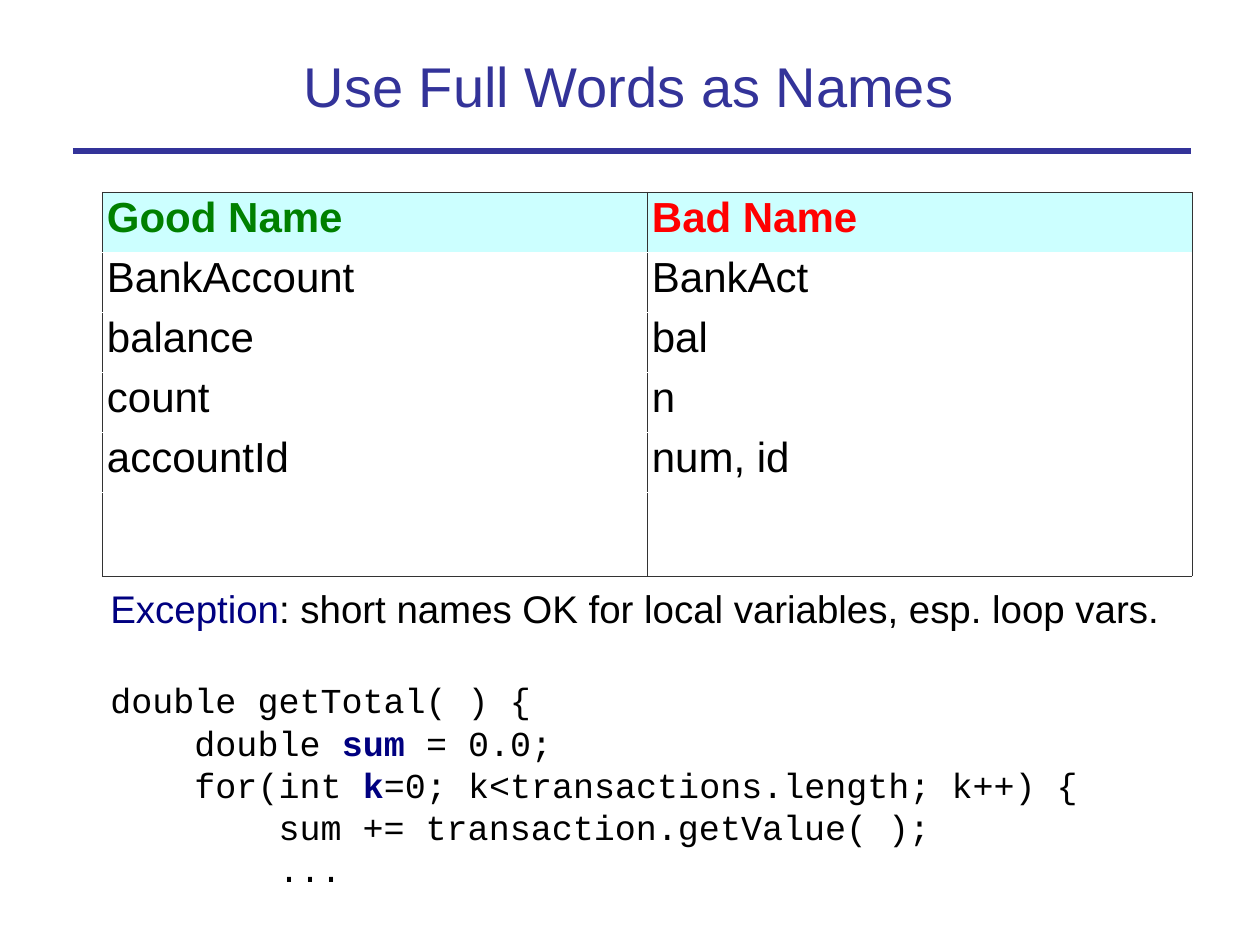
from dataclasses import dataclass

import lxml.etree
import pptx
import pptx.dml.color
import pptx.enum.shapes
import pptx.enum.text
import pptx.oxml.ns
import pptx.util

EMU_PER_INCH = 914400
PX_PER_INCH = 126


@dataclass(frozen=True)
class Theme:
    sans: str = "Arial"
    mono: str = "Courier New"
    heading: str = "333399"
    text: str = "000000"
    accent: str = "000080"
    good: str = "008000"
    bad: str = "FF0000"
    header_fill: str = "CCFFFF"
    border: str = "333333"
    hidden_border: str = "FFFFFF"
    title_size: int = 32
    table_size: int = 24
    note_size: int = 22
    code_size: int = 20


THEME = Theme()


@dataclass(frozen=True)
class Run:
    text: str
    color: str = THEME.text
    bold: bool = False


@dataclass(frozen=True)
class Line:
    runs: tuple[Run, ...]
    font: str = THEME.mono
    size: int = THEME.code_size
    height: int = 24
    space_before: int = 0


NAME_ROWS = (
    (Run("Good Name", THEME.good, True), Run("Bad Name", THEME.bad, True)),
    (Run("BankAccount"), Run("BankAct")),
    (Run("balance"), Run("bal")),
    (Run("count"), Run("n")),
    (Run("accountId"), Run("num, id")),
    (None, None),
)

EXCEPTION_LINES = (
    Line(
        (
            Run("Exception", THEME.accent),
            Run(": short names OK for local variables, esp. loop vars."),
        ),
        THEME.sans,
        THEME.note_size,
        height=26,
    ),
    Line((Run("double getTotal( ) {"),), space_before=27),
    Line((Run("    double "), Run("sum", THEME.accent, True), Run(" = 0.0;"))),
    Line(
        (
            Run("    for(int "),
            Run("k", THEME.accent, True),
            Run("=0; k<transactions.length; k++) {"),
        )
    ),
    Line((Run("        sum += transaction.getValue( );"),)),
    Line((Run("        ..."),)),
)


def px(length: int) -> pptx.util.Emu:
    return pptx.util.Emu(round(length * EMU_PER_INCH / PX_PER_INCH))


def rgb(color: str) -> pptx.dml.color.RGBColor:
    return pptx.dml.color.RGBColor.from_string(color)


def add_run(paragraph, content: Run, font: str, size: int) -> None:
    run = paragraph.add_run()
    run.text = content.text
    run.font.name = font
    run.font.size = pptx.util.Pt(size)
    run.font.bold = content.bold
    run.font.color.rgb = rgb(content.color)


def add_title(slide) -> None:
    title = slide.shapes.title
    title.left, title.top, title.width, title.height = map(px, (84, 35, 1090, 101))
    frame = title.text_frame
    frame.word_wrap = True
    frame.auto_size = pptx.enum.text.MSO_AUTO_SIZE.NONE
    frame.vertical_anchor = pptx.enum.text.MSO_ANCHOR.MIDDLE
    paragraph = frame.paragraphs[0]
    paragraph.alignment = pptx.enum.text.PP_ALIGN.CENTER
    add_run(
        paragraph,
        Run("Use Full Words as Names", THEME.heading),
        THEME.sans,
        THEME.title_size,
    )


def add_title_rule(slide) -> None:
    rule = slide.shapes.add_connector(
        pptx.enum.shapes.MSO_CONNECTOR.STRAIGHT, px(73), px(151), px(1191), px(151)
    )
    rule.line.color.rgb = rgb(THEME.heading)
    rule.line.width = pptx.util.Pt(3)
    properties = rule._element.spPr
    lxml.etree.SubElement(properties, pptx.oxml.ns.qn("a:effectLst"))


def set_cell_borders(cell, top: str, bottom: str) -> None:
    properties = cell._tc.get_or_add_tcPr()
    sides = {"L": THEME.border, "R": THEME.border, "T": top, "B": bottom}
    for side, color in sides.items():
        line = lxml.etree.SubElement(
            properties, pptx.oxml.ns.qn(f"a:ln{side}"), w=str(pptx.util.Pt(0.06))
        )
        fill = lxml.etree.SubElement(line, pptx.oxml.ns.qn("a:solidFill"))
        lxml.etree.SubElement(fill, pptx.oxml.ns.qn("a:srgbClr"), val=color)


def add_name_table(slide) -> None:
    row_height, last_height, column_width = 60, 84, 545
    last = len(NAME_ROWS) - 1
    table = slide.shapes.add_table(
        len(NAME_ROWS),
        2,
        px(102),
        px(192),
        px(2 * column_width),
        px(last * row_height + last_height),
    ).table
    for column in table.columns:
        column.width = px(column_width)
    for row_index, contents in enumerate(NAME_ROWS):
        table.rows[row_index].height = px(
            last_height if row_index == last else row_height
        )
        for column_index, content in enumerate(contents):
            cell = table.cell(row_index, column_index)
            cell.margin_left = cell.margin_right = px(5)
            cell.margin_top = cell.margin_bottom = px(6)
            set_cell_borders(
                cell,
                THEME.border if row_index == 0 else THEME.hidden_border,
                THEME.border if row_index == last else THEME.hidden_border,
            )
            if row_index == 0:
                cell.fill.solid()
                cell.fill.fore_color.rgb = rgb(THEME.header_fill)
            else:
                cell.fill.background()
            if content:
                paragraph = cell.text_frame.paragraphs[0]
                paragraph.line_spacing = 0.93
                add_run(paragraph, content, THEME.sans, THEME.table_size)


def add_exception_text(slide) -> None:
    box = slide.shapes.add_textbox(px(98), px(580), px(1099), px(311))
    frame = box.text_frame
    frame.word_wrap = True
    for index, line in enumerate(EXCEPTION_LINES):
        paragraph = frame.add_paragraph() if index else frame.paragraphs[0]
        paragraph.line_spacing = pptx.util.Pt(line.height)
        if line.space_before:
            paragraph.space_before = pptx.util.Pt(line.space_before)
        for content in line.runs:
            add_run(paragraph, content, line.font, line.size)


def main() -> None:
    presentation = pptx.Presentation()
    presentation.slide_width = px(1260)
    presentation.slide_height = px(945)
    title_only = presentation.slide_layouts[5]
    slide = presentation.slides.add_slide(title_only)
    add_title_rule(slide)
    add_title(slide)
    add_name_table(slide)
    add_exception_text(slide)
    presentation.save("out.pptx")


if __name__ == "__main__":
    main()
